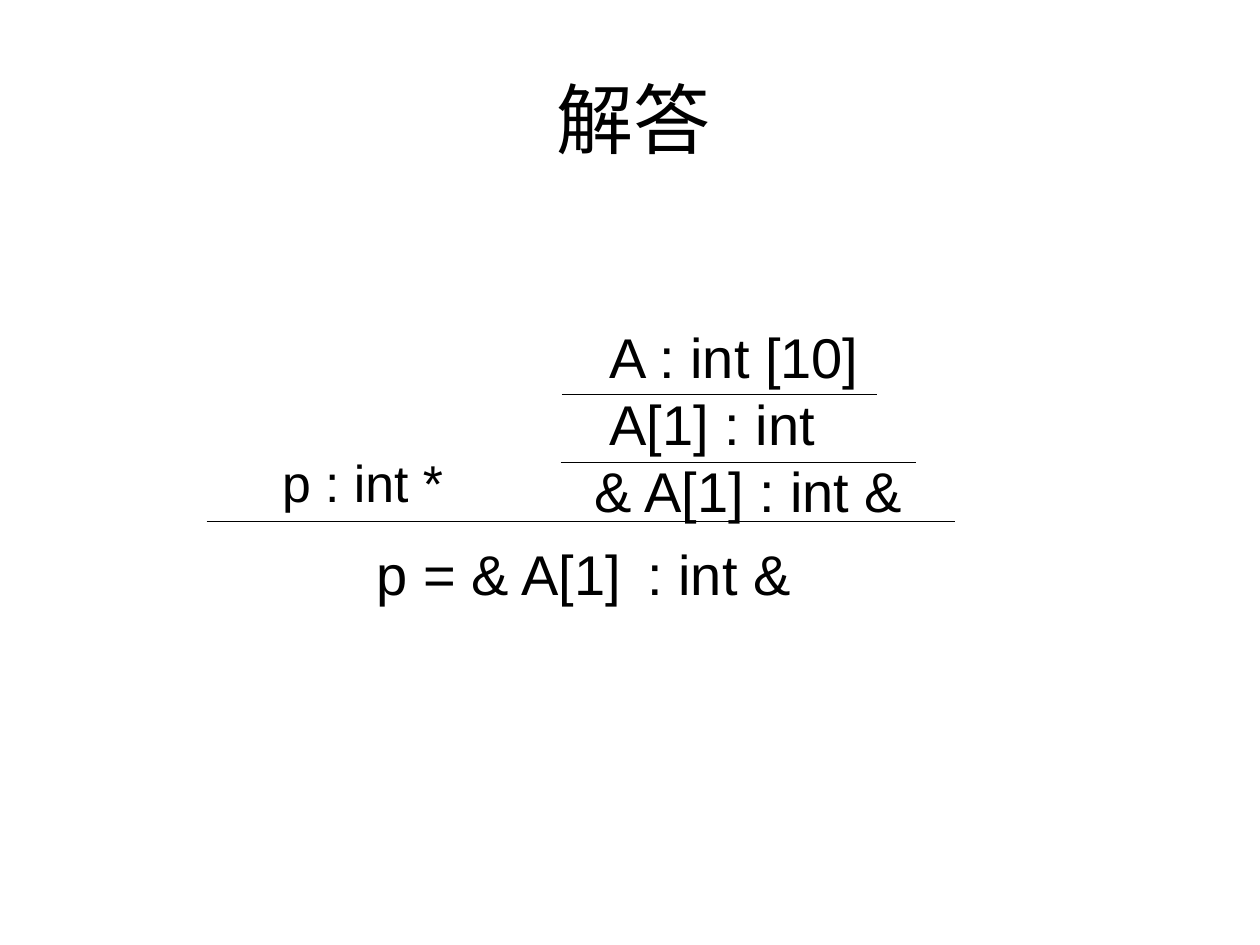
from lxml.etree import SubElement
from pptx import Presentation
from pptx.dml.color import RGBColor
from pptx.enum.shapes import MSO_CONNECTOR
from pptx.enum.text import MSO_ANCHOR, PP_ALIGN
from pptx.oxml.ns import qn
from pptx.util import Inches, Pt

BLACK = RGBColor(0, 0, 0)
FONT = "Arial"
LINE_HEIGHT = 1.2  # multiple of the text size

TITLE = "解答"
TITLE_BOX = (0.78, 0.31, 8.5, 1.25)

# Each box: left, top, width, height; text size; (text, indent) lines
FORMULAS = [
    ((1.8, 3.52, 2.27, 0.62), 29.6, [("p : int *", 0.34)]),
    ((2.89, 4.22, 3.55, 0.64), 32, [("p = & A[1]\t: int &", 0)]),
    ((4.62, 2.5, 2.67, 1.7), 32,
     [("A : int [10]", 0.12), ("A[1] : int", 0.12), ("& A[1] : int &", 0)]),
]
TYPE_TAB = 2.15

# Inference bars: left, right, height on the slide
BARS = [(4.46, 6.96, 3.13), (4.45, 7.27, 3.67), (1.64, 7.58, 4.14)]


def add_text(slide, box, size, lines):
    shape = slide.shapes.add_textbox(*map(Inches, box))
    frame = shape.text_frame
    frame.word_wrap = True
    frame.margin_top = Inches(0.06)
    frame.margin_right = 0
    for index, (text, indent) in enumerate(lines):
        paragraph = frame.paragraphs[0] if index == 0 else frame.add_paragraph()
        paragraph.text = text
        paragraph.line_spacing = Pt(size * LINE_HEIGHT)
        properties = paragraph._p.get_or_add_pPr()
        properties.set("marL", str(Inches(indent)))
        if "\t" in text:
            tabs = SubElement(properties, qn("a:tabLst"))
            SubElement(tabs, qn("a:tab"), pos=str(Inches(TYPE_TAB)), algn="l")
        set_font(paragraph, size)


def set_font(paragraph, size):
    paragraph.font.name = FONT
    paragraph.font.size = Pt(size)
    paragraph.font.color.rgb = BLACK


def add_title(slide):
    frame = slide.shapes.add_textbox(*map(Inches, TITLE_BOX)).text_frame
    frame.word_wrap = True
    frame.vertical_anchor = MSO_ANCHOR.MIDDLE
    paragraph = frame.paragraphs[0]
    paragraph.text = TITLE
    paragraph.alignment = PP_ALIGN.CENTER
    set_font(paragraph, 44)


def add_bar(slide, left, right, height):
    bar = slide.shapes.add_connector(
        MSO_CONNECTOR.STRAIGHT, *map(Inches, (left, height, right, height)))
    bar.line.color.rgb = BLACK
    bar.line.width = Pt(0.75)
    SubElement(bar._element.spPr, qn("a:effectLst"))


def main():
    presentation = Presentation()
    presentation.slide_width = Inches(10)
    presentation.slide_height = Inches(7.5)
    slide = presentation.slides.add_slide(presentation.slide_layouts[6])
    add_title(slide)
    for box, size, lines in FORMULAS:
        add_text(slide, box, size, lines)
    for bar in BARS:
        add_bar(slide, *bar)
    presentation.save("out.pptx")


if __name__ == "__main__":
    main()
